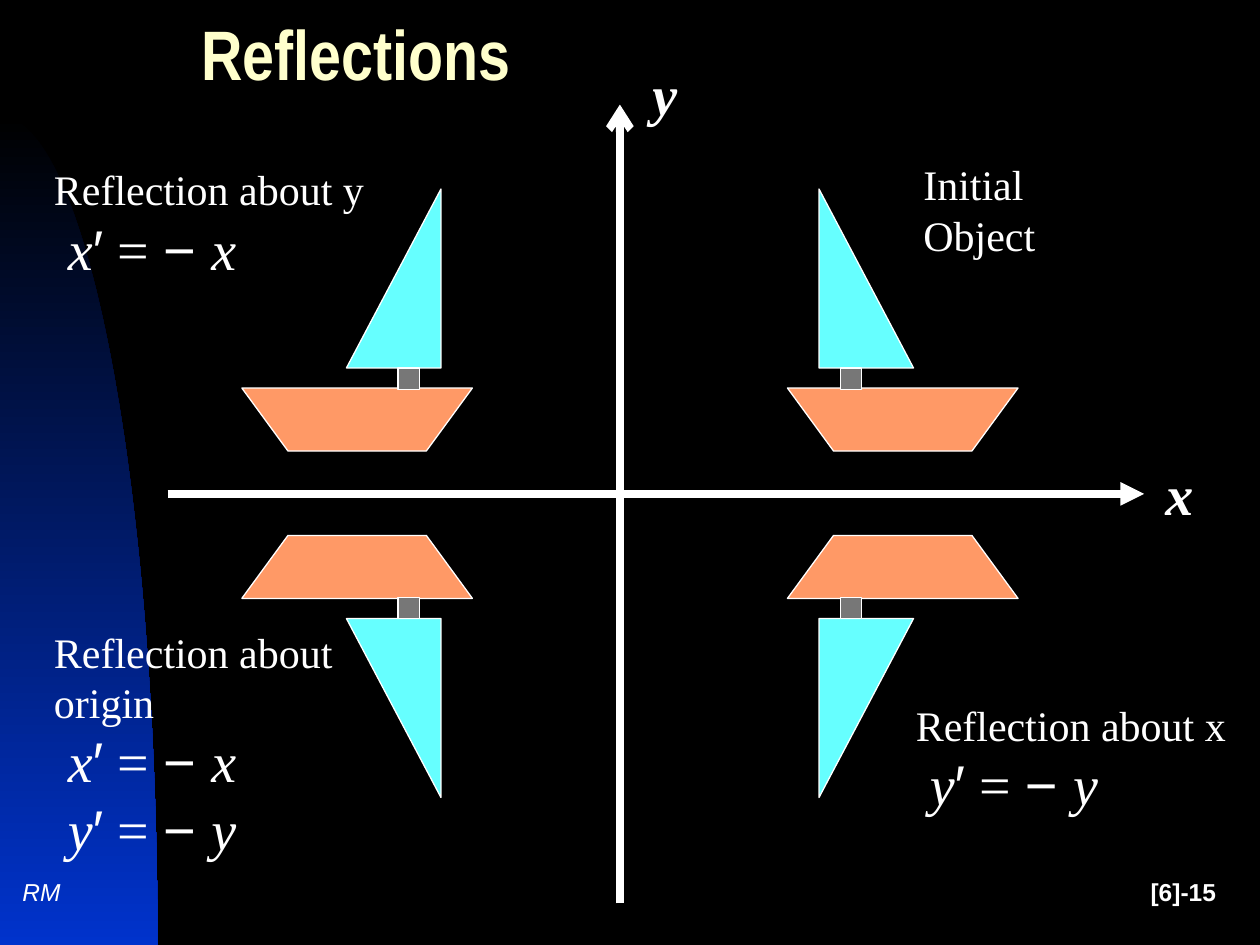
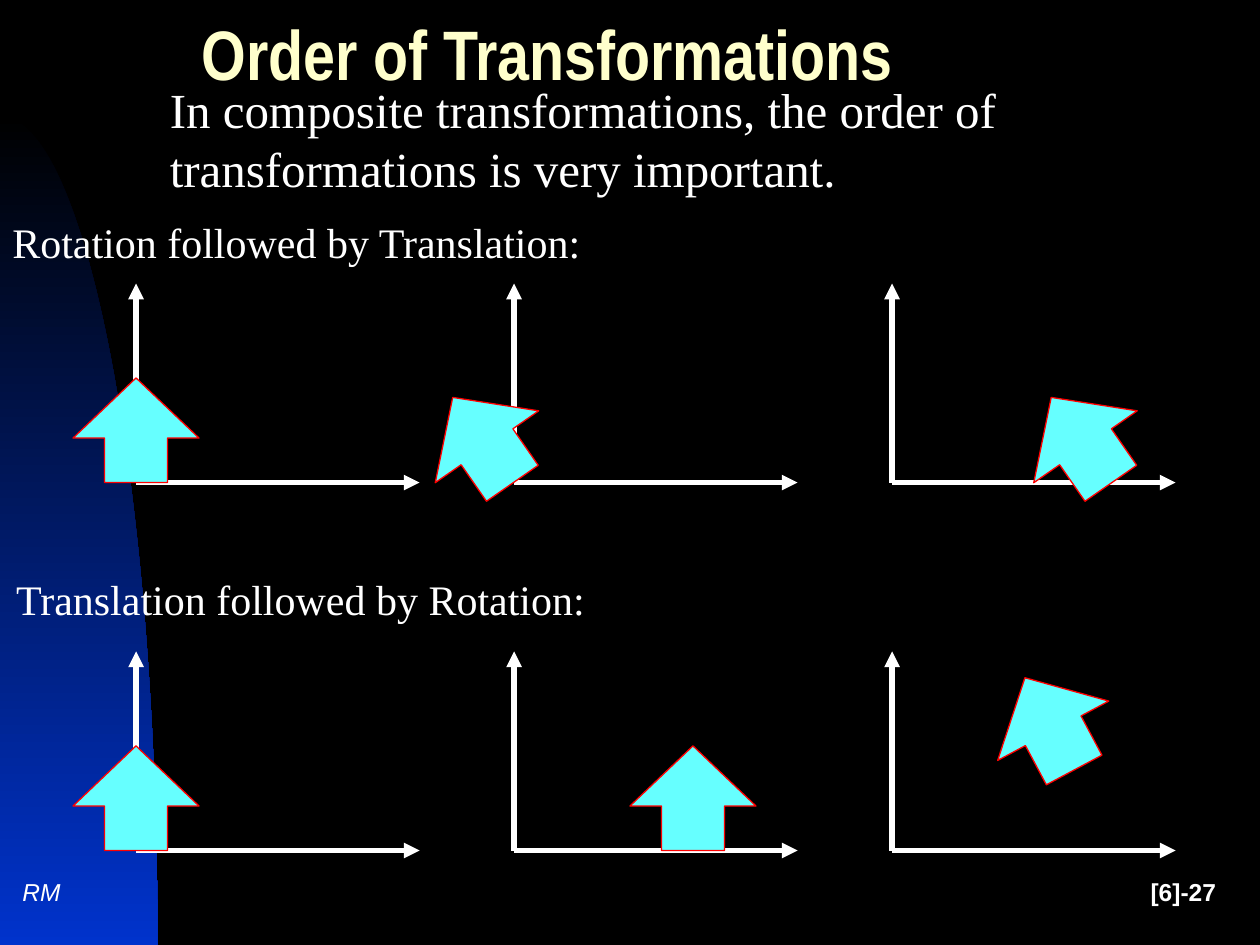
from lxml.etree import SubElement
from pptx import Presentation
from pptx.dml.color import RGBColor
from pptx.enum.shapes import MSO_CONNECTOR, MSO_SHAPE
from pptx.enum.text import MSO_ANCHOR, MSO_AUTO_SIZE, PP_ALIGN
from pptx.oxml.ns import qn
from pptx.util import Inches, Pt

BLACK = RGBColor(0x00, 0x00, 0x00)
WHITE = RGBColor(0xFF, 0xFF, 0xFF)
CREAM = RGBColor(0xFF, 0xFF, 0xCC)
BLUE = RGBColor(0x00, 0x33, 0xCC)
CYAN = RGBColor(0x66, 0xFF, 0xFF)
ORANGE = RGBColor(0xFF, 0x99, 0x66)
GREY = RGBColor(0x77, 0x77, 0x77)
RED = RGBColor(0xFF, 0x00, 0x00)

SERIF, SANS, NARROW = "Times New Roman", "Arial", "Arial Narrow"
TITLE_ONLY = 5
BOAT_WIDTH, BOAT_HEIGHT = 1.83, 2.08
BOAT_PARTS = [
    (MSO_SHAPE.FLOWCHART_MANUAL_OPERATION, ORANGE, (0, 1.58, 1.83, 0.5)),
    (MSO_SHAPE.RIGHT_TRIANGLE, CYAN, (0.25, 0, 0.75, 1.42)),
    (MSO_SHAPE.RECTANGLE, GREY, (0.42, 1.42, 0.17, 0.17)),
]


def inches(*lengths):
    """Turn plain numbers into lengths."""
    return [Inches(length) for length in lengths]


def write(frame, *lines, size=24, font=SERIF, color=WHITE, bold=False, italic=False,
          align=PP_ALIGN.LEFT, anchor=MSO_ANCHOR.TOP, spacing=None):
    """Fill a frame with lines, each a string or a list of (text, overrides)."""
    frame.word_wrap = True
    frame.auto_size = MSO_AUTO_SIZE.NONE
    frame.vertical_anchor = anchor
    for index, line in enumerate(lines):
        para = frame.add_paragraph() if index else frame.paragraphs[0]
        para.alignment = align
        para.line_spacing = spacing
        for text, changes in [(line, {})] if isinstance(line, str) else line:
            look = {"size": size, "name": font, "bold": bold, "italic": italic, **changes}
            span = para.add_run()
            span.text = text
            span.font.size = Pt(look["size"])
            span.font.name = look["name"]
            span.font.bold = look["bold"]
            span.font.italic = look["italic"]
            span.font.color.rgb = color


def label(page, box, *lines, **style):
    """Add a text box at the given box."""
    write(page.shapes.add_textbox(*inches(*box)).text_frame, *lines, **style)


def negation(letter):
    """Give the spans of the formula that negates one coordinate."""
    slanted, upright = {"size": 32, "italic": True}, {"size": 32}
    sans = {"size": 32, "name": SANS}
    return [(f" {letter}", slanted), ("′", sans), (" = ", upright),
            ("− ", sans), (letter, slanted)]


def solid_shape(shapes, kind, box, fill, line):
    """Add a filled preset shape with a thin outline."""
    shape = shapes.add_shape(kind, *inches(*box))
    shape.shadow.inherit = False
    shape.fill.solid()
    shape.fill.fore_color.rgb = fill
    shape.line.color.rgb = line
    shape.line.width = Pt(0.75)
    return shape


def axis(page, start, end, width, head="triangle"):
    """Draw a white line that ends in an arrowhead."""
    line = page.shapes.add_connector(MSO_CONNECTOR.STRAIGHT, *inches(*start, *end))
    line.line.color.rgb = WHITE
    line.line.width = Pt(width)
    properties = line._element.spPr
    SubElement(properties.find(qn("a:ln")), qn("a:tailEnd"), type=head)
    SubElement(properties, qn("a:effectLst"))


def curved_band(page, left=0, top=0.92, width=1.25, height=6.58, steps=60):
    """Draw the blue quarter-oval along the left edge."""
    curve = []
    for step in range(1, steps + 1):
        t = step / steps
        u = 1 - t
        x = 3 * u * t * t * 1 + 3 * u * u * t * 0.55 + t ** 3
        y = 3 * u * t * t * 0.45 + t ** 3
        curve.append((Inches(left + width * x), Inches(top + height * y)))
    outline = page.shapes.build_freeform(*inches(left, top))
    outline.add_line_segments(curve + [tuple(inches(left, top + height))], close=True)
    band = outline.convert_to_shape()
    band.shadow.inherit = False
    band.line.fill.background()
    band.fill.gradient()
    band.fill.gradient_angle = 270
    for stop, color in zip(band.fill.gradient_stops, (BLACK, BLUE)):
        stop.color.rgb = color


def base_page(deck, title, number):
    """Add a page with its band, title and footers."""
    page = deck.slides.add_slide(deck.slide_layouts[TITLE_ONLY])
    curved_band(page)
    heading = page.shapes.title
    heading.left, heading.top, heading.width, heading.height = inches(1.5, 0, 8.25, 1)
    write(heading.text_frame, title, size=40, font=NARROW, color=CREAM, bold=True,
          anchor=MSO_ANCHOR.MIDDLE, spacing=0.7)
    footer = {"size": 14, "font": SANS, "anchor": MSO_ANCHOR.MIDDLE}
    label(page, (7.67, 6.83, 2.08, 0.5), f"[6]-{number}", bold=True,
          align=PP_ALIGN.RIGHT, **footer)
    label(page, (0.08, 6.83, 0.58, 0.5), "RM", italic=True, **footer)
    return page


def boat(page, left, top, flip_x, flip_y):
    """Draw a grouped sailing boat, mirrored inside its box as asked."""
    group = page.shapes.add_group_shape()
    for kind, fill, (x, y, width, height) in BOAT_PARTS:
        if flip_x:
            x = BOAT_WIDTH - x - width
        if flip_y:
            y = BOAT_HEIGHT - y - height
        part = solid_shape(group.shapes, kind, (left + x, top + y, width, height),
                           fill, WHITE)
        frame = part._element.spPr.find(qn("a:xfrm"))
        frame.set("flipH", str(int(flip_x)))
        frame.set("flipV", str(int(flip_y)))


def reflections_page(deck):
    """Show a boat and its three reflections around the axes."""
    page = base_page(deck, "Reflections", 15)
    axis(page, (1.33, 3.92), (9.08, 3.92), 4.5)
    axis(page, (4.92, 7.17), (4.92, 0.83), 4.5, head="arrow")
    for left, flip_x in ((6.25, False), (1.92, True)):
        for top, flip_y in ((1.5, False), (4.25, True)):
            boat(page, left, top, flip_x, flip_y)
    label(page, (7.23, 1.21, 1.2, 0.9), "Initial", "Object")
    label(page, (7.17, 5.5, 2.7, 1.04), "Reflection about x", negation("y"))
    label(page, (0.33, 4.92, 2.66, 1.97), "Reflection about", "origin",
          negation("x"), negation("y"))
    label(page, (0.33, 1.25, 2.7, 1.04), "Reflection about y", negation("x"))
    for letter, left, top in (("x", 9.15, 3.6), ("y", 5.08, 0.42)):
        label(page, (left, top, 0.48, 0.64), letter, size=32, bold=True, italic=True)


def transformation_row(page, top, arrows):
    """Draw three pairs of axes, each with an arrow at (x, y, rotation) from its row."""
    for column, (x, y, rotation) in enumerate(arrows):
        left, base = 1.08 + 3 * column, top + 1.58
        axis(page, (left, base), (left + 2.25, base), 3)
        axis(page, (left, base), (left, top), 3)
        arrow = solid_shape(page.shapes, MSO_SHAPE.UP_ARROW,
                            (left + x, top + y, 1, 0.83), CYAN, RED)
        arrow.adjustments[1] = 0.575
        arrow.rotation = rotation


def order_page(deck):
    """Compare the two orders of rotation and translation."""
    page = base_page(deck, "Order of Transformations", 27)
    label(page, (1.25, 0.58, 7.17, 1.04),
          "In composite transformations, the order of transformations is very important.",
          size=28)
    transformation_row(page, 2.25, [(-0.5, 0.75, 0), (-0.75, 0.83, 325.2), (1, 0.83, 325.2)])
    transformation_row(page, 5.17, [(-0.5, 0.75, 0), (0.92, 0.75, 0), (0.75, 0.16, 331.9)])
    label(page, (0, 1.67, 4.8, 0.5), "Rotation followed by Translation:")
    label(page, (0.03, 4.5, 4.8, 0.5), "Translation followed by Rotation:")


def main():
    """Build and save the deck."""
    deck = Presentation()
    deck.slide_width, deck.slide_height = inches(10, 7.5)
    backdrop = deck.slide_master.background.fill
    backdrop.solid()
    backdrop.fore_color.rgb = BLACK
    reflections_page(deck)
    order_page(deck)
    deck.save("out.pptx")


if __name__ == "__main__":
    main()
